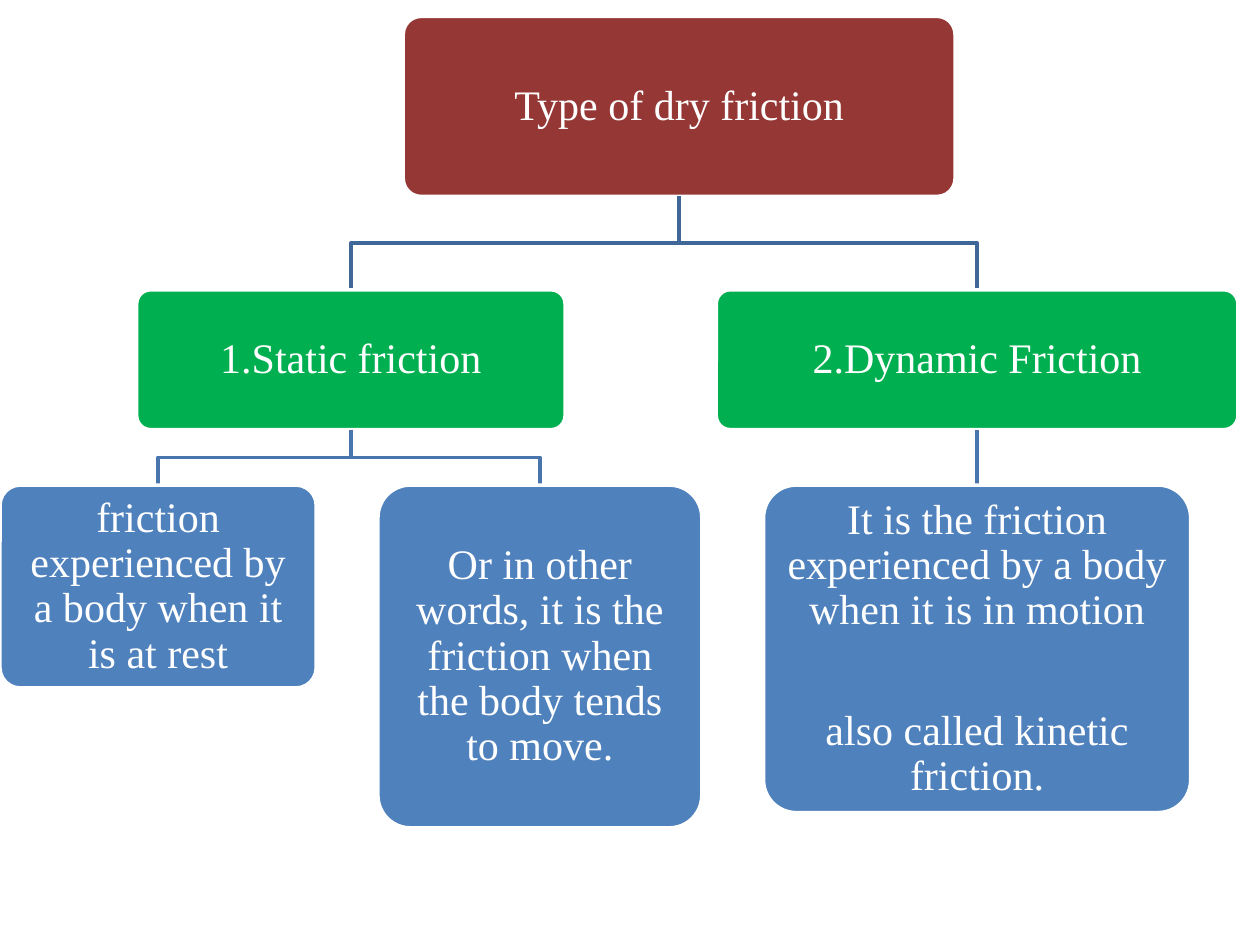
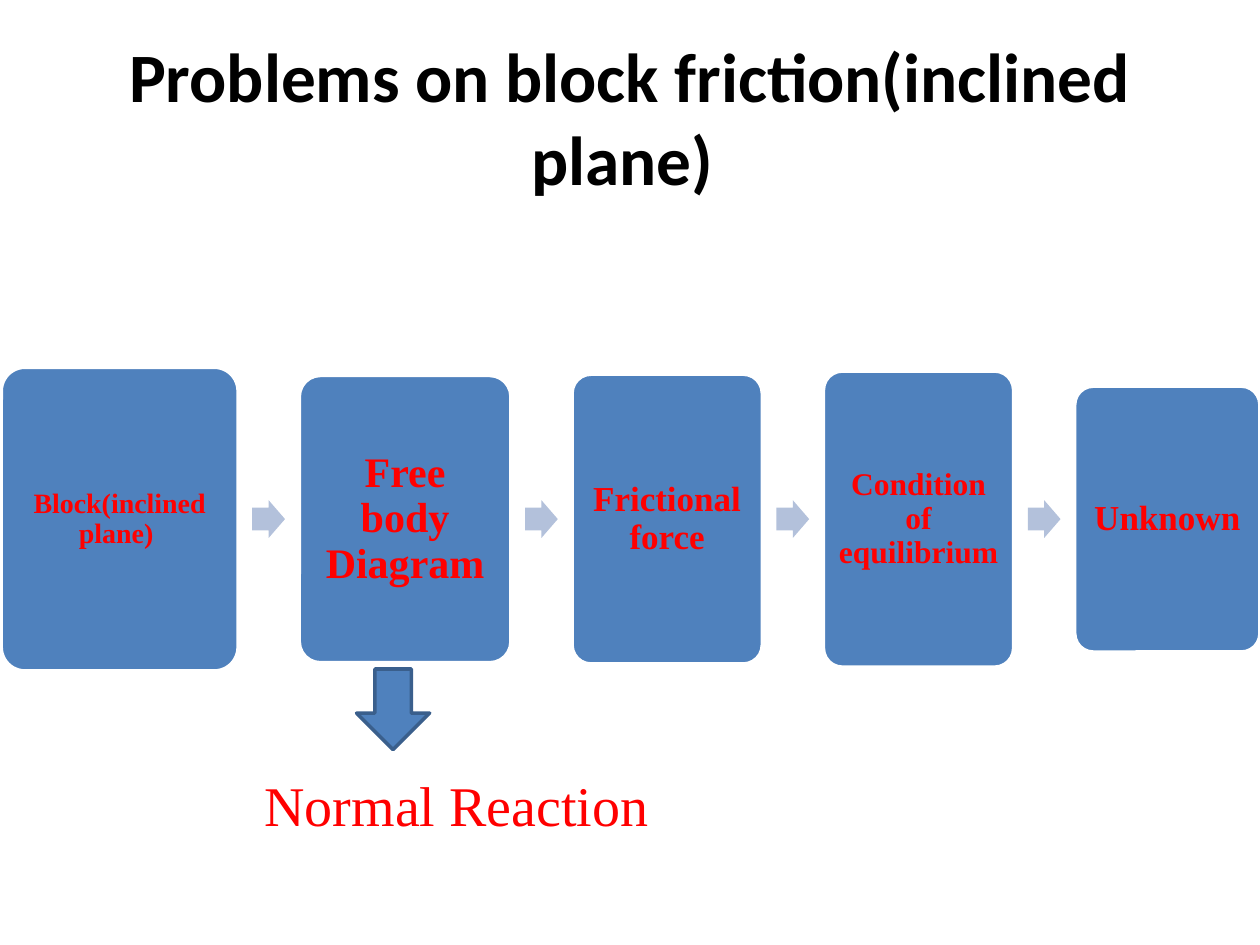
from dataclasses import dataclass

from lxml.etree import SubElement
from pptx import Presentation
from pptx.dml.color import RGBColor
from pptx.enum.shapes import MSO_CONNECTOR, MSO_SHAPE
from pptx.enum.text import MSO_ANCHOR, PP_ALIGN
from pptx.oxml.ns import qn
from pptx.util import Inches, Pt


@dataclass(frozen=True)
class Theme:
    white: str = "FFFFFF"
    black: str = "000000"
    red: str = "FF0000"
    root: str = "953735"
    branch: str = "00B050"
    blue: str = "4F81BD"
    blue_edge: str = "3A5F8C"
    pale_arrow: str = "B3C1DB"
    upper_link: str = "3F6797"
    lower_link: str = "4875AC"
    title_font: str = "Calibri"
    body_font: str = "Times New Roman"
    title_size: float = 39.6
    body_size: float = 24
    note_size: float = 32
    line_width: float = 2
    corner: float = 0.1
    paragraph_gap: float = 43


THEME = Theme()
SLIDE_W, SLIDE_H = 10, 7.5

# Friction tree: (paragraphs, width, height); branches also hold their leaves.
ROOT = (["Type of dry friction"], 4.38, 1.43)
BRANCHES = [
    (["1.Static friction"], 3.4, 1.11, [
        (["friction experienced by a body when it is at rest"], 2.51, 1.61),
        (["Or in other words, it is the friction when the body tends to move."], 2.57, 2.72),
    ]),
    (["2.Dynamic Friction"], 4.14, 1.11, [
        (["It is the friction experienced by a body when it is in motion",
          "also called kinetic friction."], 3.39, 2.6),
    ]),
]
ROOT_CENTRE = 5.39
LEVEL_TOPS = (0.13, 2.3, 3.85)
LEAF_GAP = 0.49

# Solution steps: (text, text size, width, height)
PROBLEM_TITLE = "Problems on block friction(inclined plane) "
STEPS = [
    ("Block(inclined plane) ", 16, 1.88, 2.41),
    ("Free body Diagram", 24, 1.68, 2.28),
    ("Frictional force", 20, 1.51, 2.3),
    ("Condition of equilibrium ", 18, 1.51, 2.35),
    ("Unknown", 20, 1.47, 2.11),
]
STEPS_LEFT, STEPS_MIDDLE = 0.01, 4.12
STEP_ARROW = (0.26, 0.3)
NOTE = "Normal Reaction"


def rgb(colour):
    return RGBColor.from_string(colour)


def inches(*lengths):
    return [Inches(length) for length in lengths]


def write(frame, paragraphs, size, colour, font=THEME.body_font, bold=False,
          align=PP_ALIGN.CENTER, spacing=None):
    for index, text in enumerate(paragraphs):
        paragraph = frame.add_paragraph() if index else frame.paragraphs[0]
        paragraph.text = text
        paragraph.alignment = align
        if spacing:
            paragraph.line_spacing = spacing
        if index:
            paragraph.space_before = Pt(THEME.paragraph_gap)
        paragraph.font.name = font
        paragraph.font.size = Pt(size)
        paragraph.font.bold = bold
        paragraph.font.color.rgb = rgb(colour)


def add_preset(slide, preset, box, fill, edge=None):
    shape = slide.shapes.add_shape(preset, *inches(*box))
    shape.shadow.inherit = False
    shape.fill.solid()
    shape.fill.fore_color.rgb = rgb(fill)
    if edge:
        shape.line.color.rgb = rgb(edge)
        shape.line.width = Pt(THEME.line_width)
    else:
        shape.line.fill.background()
    return shape


def add_card(slide, box, paragraphs, fill, size=THEME.body_size,
             colour=THEME.white, bold=False):
    """Rounded box whose text margins grow with its text size."""
    card = add_preset(slide, MSO_SHAPE.ROUNDED_RECTANGLE, box, fill, THEME.white)
    card.adjustments[0] = THEME.corner
    frame = card.text_frame
    frame.word_wrap = True
    frame.vertical_anchor = MSO_ANCHOR.MIDDLE
    frame.margin_left = frame.margin_right = Pt(0.3 * size)
    frame.margin_top = frame.margin_bottom = Pt(0.3 * size)
    write(frame, paragraphs, size, colour, bold=bold, spacing=0.9)


def add_link(slide, parent, child, colour):
    """Join two (x, y) points: straight if aligned, else with a halfway bend."""
    (x1, y1), (x2, y2) = parent, child
    if abs(x1 - x2) < 0.01:
        link = slide.shapes.add_connector(MSO_CONNECTOR.STRAIGHT, *inches(x1, y1, x2, y2))
        SubElement(link._element.spPr, qn("a:effectLst"))
    else:
        bend = (y1 + y2) / 2
        outline = slide.shapes.build_freeform(*inches(x1, y1))
        outline.add_line_segments([inches(x1, bend), inches(x2, bend), inches(x2, y2)],
                                  close=False)
        link = outline.convert_to_shape()
        link.shadow.inherit = False
        link.fill.background()
    link.line.color.rgb = rgb(colour)
    link.line.width = Pt(THEME.line_width)


def build_friction_tree(slide):
    root_top, branch_top, leaf_top = LEVEL_TOPS
    text, width, height = ROOT
    root_foot = (ROOT_CENTRE, root_top + height)
    add_card(slide, (ROOT_CENTRE - width / 2, root_top, width, height), text, THEME.root)

    leaf_left = 0
    for text, width, height, leaves in BRANCHES:
        span = sum(leaf[1] for leaf in leaves) + LEAF_GAP * (len(leaves) - 1)
        centre = leaf_left + span / 2
        branch_foot = (centre, branch_top + height)
        add_link(slide, root_foot, (centre, branch_top), THEME.upper_link)
        add_card(slide, (centre - width / 2, branch_top, width, height), text, THEME.branch)
        for leaf_text, leaf_width, leaf_height in leaves:
            add_link(slide, branch_foot, (leaf_left + leaf_width / 2, leaf_top),
                     THEME.lower_link)
            add_card(slide, (leaf_left, leaf_top, leaf_width, leaf_height), leaf_text,
                     THEME.blue)
            leaf_left += leaf_width + LEAF_GAP


def build_solution_steps(slide):
    title = slide.shapes.add_textbox(*inches(0.21, 0.3, 9.58, 1.25)).text_frame
    title.word_wrap = True
    title.vertical_anchor = MSO_ANCHOR.MIDDLE
    write(title, [PROBLEM_TITLE], THEME.title_size, THEME.black, THEME.title_font, bold=True)

    gap = (SLIDE_W - STEPS_LEFT - sum(step[2] for step in STEPS)) / (len(STEPS) - 1)
    arrow_width, arrow_height = STEP_ARROW
    left = STEPS_LEFT
    for index, (text, size, width, height) in enumerate(STEPS):
        if index:
            arrow = add_preset(slide, MSO_SHAPE.RIGHT_ARROW,
                               (left - (gap + arrow_width) / 2,
                                STEPS_MIDDLE - arrow_height / 2, arrow_width, arrow_height),
                               THEME.pale_arrow)
            arrow.adjustments[0] = 0.6
        add_card(slide, (left, STEPS_MIDDLE - height / 2, width, height), [text],
                 THEME.blue, size, THEME.red, bold=True)
        left += width + gap

    add_preset(slide, MSO_SHAPE.DOWN_ARROW, (2.83, 5.31, 0.58, 0.64),
               THEME.blue, THEME.blue_edge)
    note = slide.shapes.add_textbox(*inches(2, 6.07, 3.28, 0.64)).text_frame
    note.word_wrap = False
    write(note, [NOTE], THEME.note_size, THEME.red, align=PP_ALIGN.LEFT)


def main():
    deck = Presentation()
    deck.slide_width, deck.slide_height = inches(SLIDE_W, SLIDE_H)
    for build in (build_friction_tree, build_solution_steps):
        build(deck.slides.add_slide(deck.slide_layouts[6]))
    deck.save("out.pptx")


if __name__ == "__main__":
    main()
